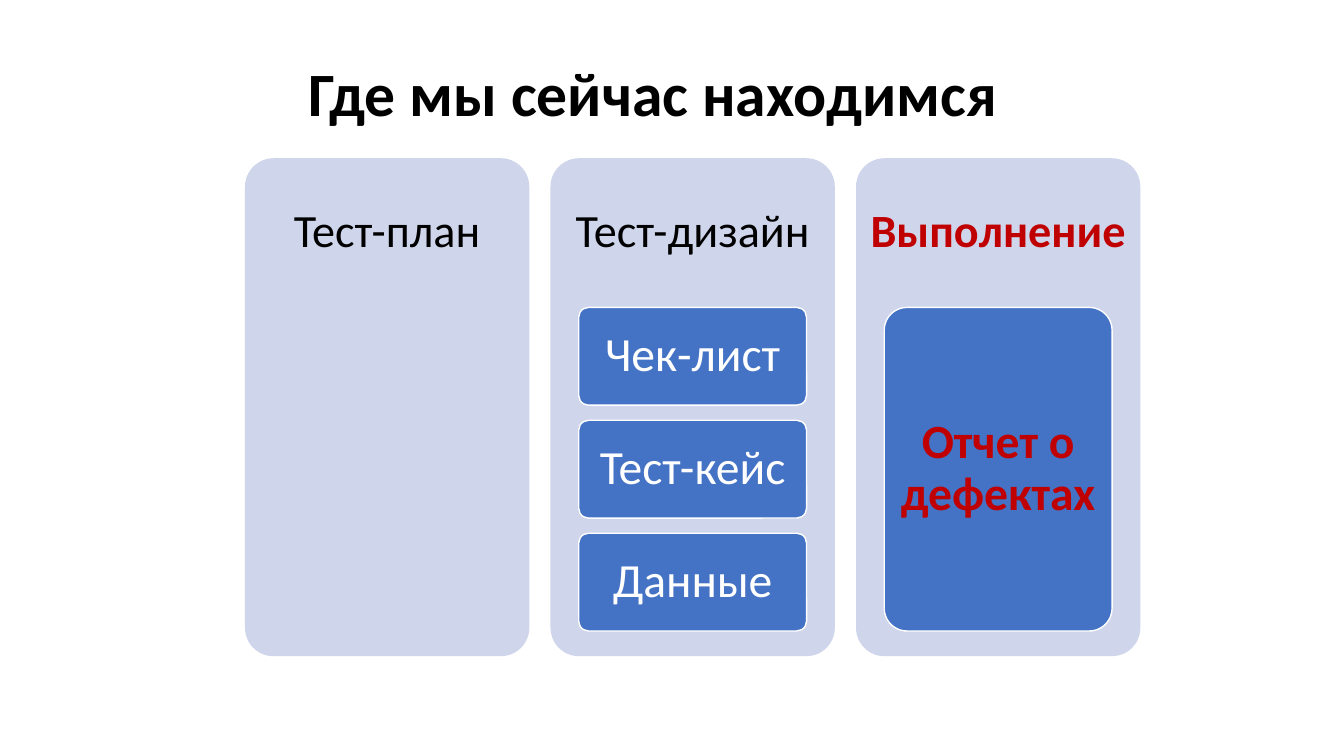
from pptx import Presentation
from pptx.dml.color import RGBColor
from pptx.enum.shapes import MSO_SHAPE
from pptx.enum.text import MSO_ANCHOR, PP_ALIGN
from pptx.util import Emu, Pt

EMU_PER_PX = 9144  # 100 px to the inch
BLACK, WHITE, RED = "000000", "FFFFFF", "C00000"
COLUMN_FILL, CARD_FILL = "CFD5EA", "4472C4"


def px(length):
    return Emu(length * EMU_PER_PX)


def color(value):
    return RGBColor.from_string(value)


def write(frame, text, size, ink=BLACK, bold=False, inset=(10, 5)):
    frame.word_wrap = True
    frame.vertical_anchor = MSO_ANCHOR.MIDDLE
    frame.margin_left = frame.margin_right = px(inset[0])
    frame.margin_top = frame.margin_bottom = px(inset[1])
    paragraph = frame.paragraphs[0]
    paragraph.alignment = PP_ALIGN.CENTER
    paragraph.line_spacing = 0.9
    run = paragraph.add_run()
    run.text = text
    run.font.name = "Calibri"
    run.font.size = Pt(size)
    run.font.bold = bold
    run.font.color.rgb = color(ink)


class StageSlide:
    def __init__(self, deck):
        self.shapes = deck.slides.add_slide(deck.slide_layouts[6]).shapes

    def label(self, box, text, size, **style):
        frame = self.shapes.add_textbox(*map(px, box)).text_frame
        write(frame, text, size, **style)

    def panel(self, box, fill, outline=None):
        panel = self.shapes.add_shape(MSO_SHAPE.ROUNDED_RECTANGLE, *map(px, box))
        panel.adjustments[0] = 0.1
        panel.shadow.inherit = False
        panel.fill.solid()
        panel.fill.fore_color.rgb = color(fill)
        if outline:
            panel.line.color.rgb = color(outline)
            panel.line.width = Pt(1)
        else:
            panel.line.fill.background()
        return panel

    def card(self, box, text, **style):
        card = self.panel(box, CARD_FILL, WHITE)
        write(card.text_frame, text, 34, inset=(7, 7), **style)


# Stages, their cards, and whether the stage is the current one
STAGES = [
    ("Тест-план", [], False),
    ("Тест-дизайн", ["Чек-лист", "Тест-кейс", "Данные"], False),
    ("Выполнение", ["Отчет о дефектах"], True),
]
COLUMN_LEFT, COLUMN_TOP, COLUMN_WIDTH, COLUMN_HEIGHT, COLUMN_GAP = 243, 157, 282, 494, 21
HEADING_HEIGHT = 148
CARD_INDENT, CARDS_HEIGHT, CARD_GAP = 28, 321, 15


def main():
    deck = Presentation()
    deck.slide_width, deck.slide_height = px(1333), px(750)
    slide = StageSlide(deck)

    # Title
    slide.label((73, 40, 1150, 111), "Где мы сейчас находимся", 44, bold=True)

    # Columns, each with a heading and equal cards below it
    for column, (stage, cards, current) in enumerate(STAGES):
        left = COLUMN_LEFT + column * (COLUMN_WIDTH + COLUMN_GAP)
        slide.panel((left, COLUMN_TOP, COLUMN_WIDTH, COLUMN_HEIGHT), COLUMN_FILL)
        slide.label((left, COLUMN_TOP, COLUMN_WIDTH, HEADING_HEIGHT), stage, 33,
                    ink=RED if current else BLACK, bold=current)
        for row, text in enumerate(cards):
            height = (CARDS_HEIGHT + CARD_GAP) // len(cards) - CARD_GAP
            top = COLUMN_TOP + HEADING_HEIGHT + row * (height + CARD_GAP)
            slide.card((left + CARD_INDENT, top, COLUMN_WIDTH - 2 * CARD_INDENT, height),
                       text, ink=RED if current else WHITE, bold=current)

    deck.save("out.pptx")


if __name__ == "__main__":
    main()
